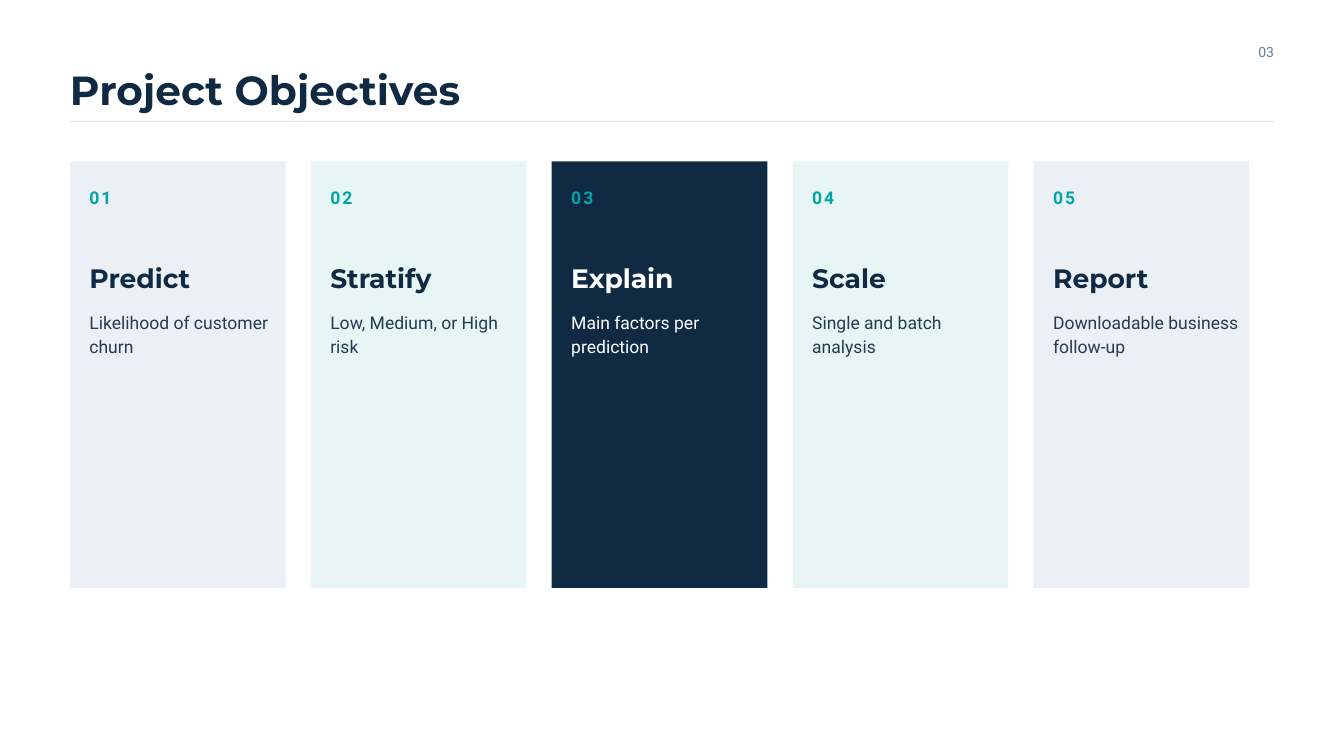
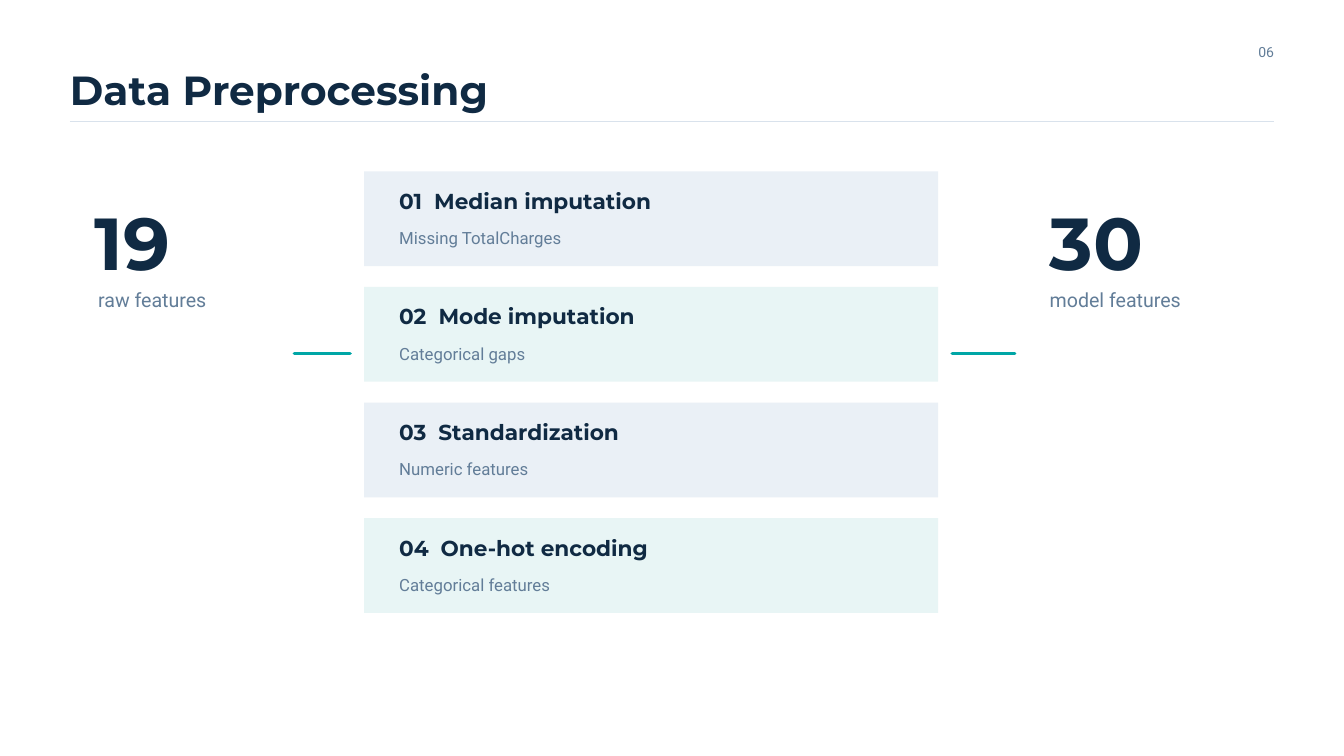
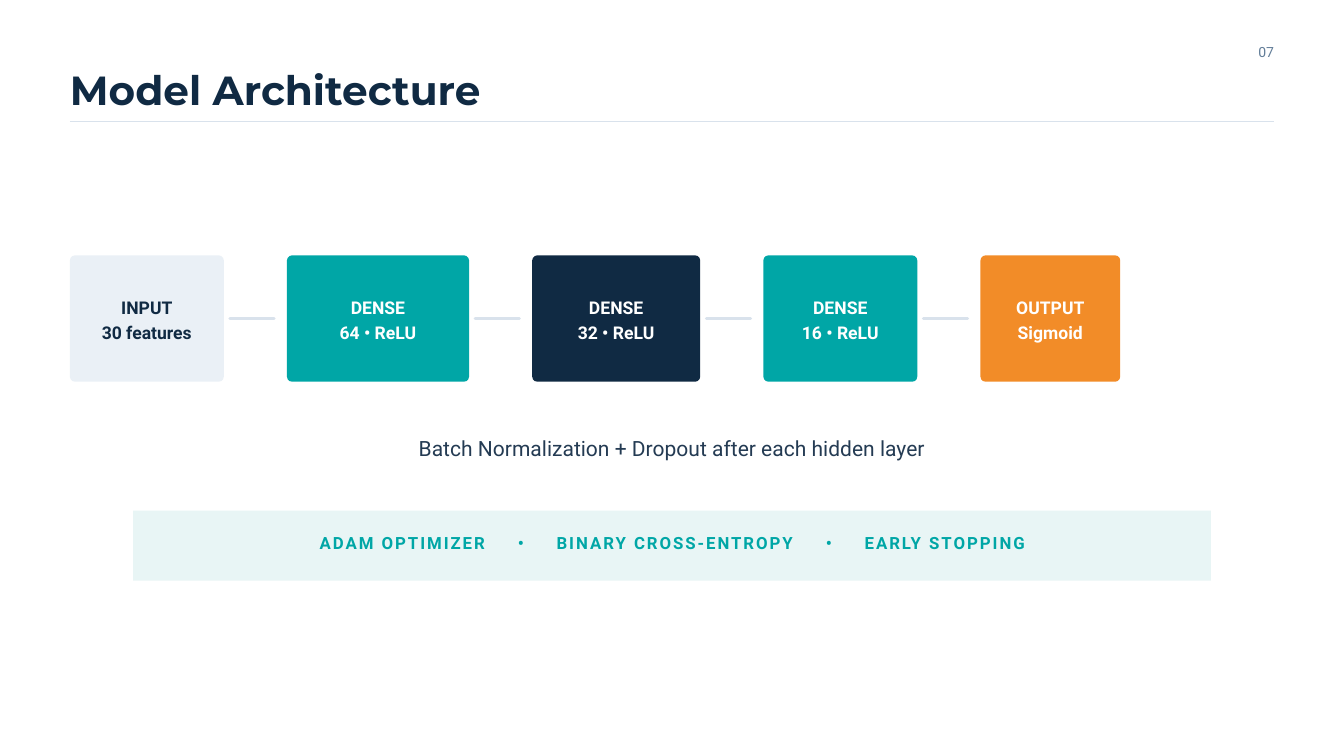
from lxml import etree
from pptx import Presentation
from pptx.dml.color import RGBColor
from pptx.enum import shapes, text
from pptx.oxml.ns import qn
from pptx.util import Inches, Pt

COLORS = {
    "navy": "102A43", "ink": "243B53", "slate": "627D98", "rule": "D9E2EC",
    "teal": "00A6A6", "orange": "F28C28", "mist": "EAF0F6", "mint": "E8F5F5",
    "white": "FFFFFF",
}
HEADING, BODY = "Montserrat", "Roboto"
LEFT, RIGHT = 1.04, 18.96

OBJECTIVES = [
    ("Predict", "Likelihood of customer churn", "mist"),
    ("Stratify", "Low, Medium, or High risk", "mint"),
    ("Explain", "Main factors per prediction", "navy"),
    ("Scale", "Single and batch analysis", "mint"),
    ("Report", "Downloadable business follow-up", "mist"),
]
FEATURE_COUNTS = [
    # number, its left, label, its left
    ("19", 1.41, "raw features", 1.46),
    ("30", 15.62, "model features", 15.62),
]
STEPS = [
    ("Median imputation", "Missing TotalCharges"),
    ("Mode imputation", "Categorical gaps"),
    ("Standardization", "Numeric features"),
    ("One-hot encoding", "Categorical features"),
]
LAYERS = [
    ("INPUT", "30 features", 2.29, "mist", "navy"),
    ("DENSE", "64 • ReLU", 2.71, "teal", "white"),
    ("DENSE", "32 • ReLU", 2.5, "navy", "white"),
    ("DENSE", "16 • ReLU", 2.29, "teal", "white"),
    ("OUTPUT", "Sigmoid", 2.08, "orange", "white"),
]
LAYER_NOTE = "Batch Normalization + Dropout after each hidden layer"
TRAINING = ["ADAM OPTIMIZER", "BINARY CROSS-ENTROPY", "EARLY STOPPING"]


def color(name):
    return RGBColor.from_string(COLORS[name])


def write(shape, paragraphs, size, leading, fill, font=BODY, bold=False,
          align="LEFT", anchor="TOP", inset=0):
    """Fill a shape with paragraphs, each a list of (text, letter spacing) runs."""
    frame = shape.text_frame
    frame.word_wrap = True
    frame.auto_size = text.MSO_AUTO_SIZE.NONE
    frame.vertical_anchor = getattr(text.MSO_ANCHOR, anchor)
    frame.margin_left = frame.margin_right = Inches(inset)
    frame.margin_top = frame.margin_bottom = Inches(inset)
    for index, runs in enumerate(paragraphs):
        paragraph = frame.add_paragraph() if index else frame.paragraphs[0]
        paragraph.alignment = getattr(text.PP_ALIGN, align)
        paragraph.line_spacing = Pt(leading)
        paragraph.space_before = Pt(0)
        for words, spacing in runs:
            run = paragraph.add_run()
            run.text = words
            run.font.name, run.font.size, run.font.bold = font, Pt(size), bold
            run.font.color.rgb = color(fill)
            if spacing:
                run._r.get_or_add_rPr().set("spc", str(round(spacing * 100)))


def add_label(parent, box, runs, *style, **options):
    if isinstance(runs, str):
        runs = [(runs, 0)]
    label = parent.shapes.add_textbox(*map(Inches, box))
    write(label, [runs], *style, **options)


def add_block(parent, box, fill, kind=shapes.MSO_SHAPE.RECTANGLE):
    block = parent.shapes.add_shape(kind, *map(Inches, box))
    block.shadow.inherit = False
    block.fill.solid()
    block.fill.fore_color.rgb = color(fill)
    block.line.fill.background()
    return block


def add_rule(slide, start, end, y, fill, width, cap="flat"):
    rule = slide.shapes.add_connector(
        shapes.MSO_CONNECTOR.STRAIGHT, *map(Inches, (start, y, end, y)))
    rule.line.color.rgb = color(fill)
    rule.line.width = Pt(width)
    rule.line._get_or_add_ln().set("cap", cap)
    etree.SubElement(rule._element.spPr, qn("a:effectLst"))


def add_titled_slide(presentation, title, number):
    slide = presentation.slides.add_slide(presentation.slide_layouts[5])
    heading = slide.shapes.title
    heading.left, heading.top = Inches(LEFT), Inches(1.05)
    heading.width, heading.height = Inches(15.1), Inches(0.64)
    write(heading, [[(title, 0)]], 43.5, 45.7, "navy", font=HEADING, bold=True)
    add_label(slide, (18.02, 0.61, 0.94, 0.28), number, 15, 21, "slate", align="RIGHT")
    add_rule(slide, LEFT, RIGHT, 1.81, "rule", 1.5)
    return slide


def build_objectives(presentation):
    slide = add_titled_slide(presentation, "Project Objectives", "03")
    pitch = (15.38 - LEFT) / (len(OBJECTIVES) - 1)
    for index, (name, detail, fill) in enumerate(OBJECTIVES):
        left = LEFT + index * pitch
        text_left = left + 0.29
        dark = fill == "navy"
        card = slide.shapes.add_group_shape()
        add_block(card, (left, 2.4, 3.21, 6.35), fill)
        add_label(card, (text_left, 2.73, 0.83, 0.34), [(f"{index + 1:02}", 2.2)],
                  18.8, 26.2, "teal", bold=True)
        add_label(card, (text_left, 3.95, 2.92, 0.43), name, 28.5, 29.9,
                  "white" if dark else "navy", font=HEADING, bold=True)
        add_label(card, (text_left, 4.61, 2.81, 0.67), detail, 18.8, 25.3,
                  "white" if dark else "ink")


def build_preprocessing(presentation):
    slide = add_titled_slide(presentation, "Data Preprocessing", "06")
    for number, number_left, label, label_left in FEATURE_COUNTS:
        add_label(slide, (number_left, 3.09, 2.6, 1.18), number, 78.8, 82.7, "navy",
                  font=HEADING, bold=True)
        add_label(slide, (label_left, 4.23, 3.12, 0.39), label, 21, 29.4, "slate")
    for index, (name, detail) in enumerate(STEPS):
        top = 2.55 + index * 1.72
        step = slide.shapes.add_group_shape()
        add_block(step, (5.42, top, 8.54, 1.41), ("mist", "mint")[index % 2])
        add_label(step, (5.94, top + 0.29, 7.29, 0.36),
                  [(f"{index + 1:02}", 0), (" ", 6.3), (name, 0)],
                  23.2, 24.4, "navy", font=HEADING, bold=True)
        add_label(step, (5.94, top + 0.79, 6.77, 0.33), detail, 18, 25.2, "slate")
    for start, end in [(4.38, 5.21), (14.17, 15.1)]:
        add_rule(slide, start, end, 5.26, "teal", 3.75, cap="rnd")


def build_architecture(presentation):
    slide = add_titled_slide(presentation, "Model Architecture", "07")
    left, top, height, gap = LEFT, 3.8, 1.88, 0.94
    for index, (kind, detail, width, fill, ink) in enumerate(LAYERS):
        if index:
            add_rule(slide, left - gap + 0.09, left - 0.19, top + height / 2,
                     "rule", 3, cap="rnd")
        layer = add_block(slide, (left, top, width, height), fill,
                          shapes.MSO_SHAPE.ROUNDED_RECTANGLE)
        layer.adjustments[0] = 0.04
        write(layer, [[(kind, 0)], [(detail, 0)]], 18.8, 26.2, ink, bold=True,
              align="CENTER", anchor="MIDDLE", inset=0.06)
        left += width + gap

    add_label(slide, (3.23, 6.43, 13.54, 0.4), LAYER_NOTE, 22.5, 30.4, "ink",
              align="CENTER")
    strip = slide.shapes.add_group_shape()
    add_block(strip, (1.98, 7.6, 16.04, 1.04), "mint")
    wide_space = (" ", 28.5)
    runs = []
    for item in TRAINING:
        if runs:
            runs += [wide_space, ("•", 2.1), wide_space]
        runs.append((item, 2.1))
    add_label(strip, (2.4, 7.88, 15.21, 0.34), runs, 18, 25.2, "teal", bold=True,
              align="CENTER")


def main():
    presentation = Presentation()
    presentation.slide_width, presentation.slide_height = Inches(20), Inches(11.25)
    build_objectives(presentation)
    build_preprocessing(presentation)
    build_architecture(presentation)
    presentation.save("out.pptx")


if __name__ == "__main__":
    main()
